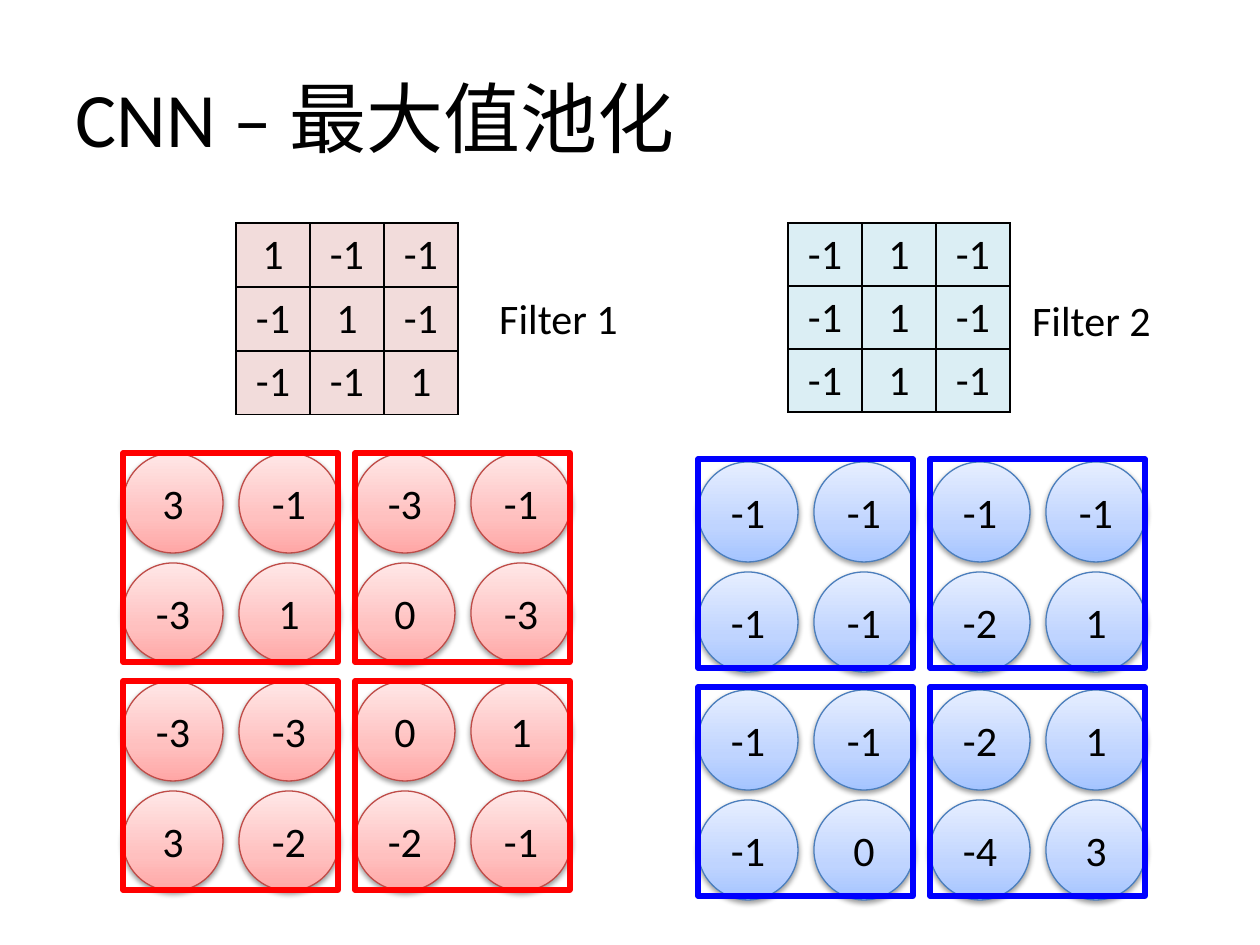
from dataclasses import dataclass

from lxml import etree
from pptx import Presentation
from pptx.dml.color import RGBColor
from pptx.enum.shapes import MSO_SHAPE
from pptx.enum.text import MSO_ANCHOR, MSO_AUTO_SIZE, PP_ALIGN
from pptx.oxml.ns import qn
from pptx.util import Emu, Pt

OVAL, RECTANGLE = MSO_SHAPE.OVAL, MSO_SHAPE.RECTANGLE
LEFT, CENTER, MIDDLE = PP_ALIGN.LEFT, PP_ALIGN.CENTER, MSO_ANCHOR.MIDDLE
GROW = MSO_AUTO_SIZE.SHAPE_TO_FIT_TEXT
TITLE_ONLY = 5
PX = 914400 / 126

CELL_WIDTH, CELL_HEIGHT = 74, 63
CIRCLE, COLUMN_PITCH, ROW_PITCH = 100, 116, 110
POOL_WIDTH, POOL_HEIGHT = 215, 209
POOL_COLUMN_PITCH, POOL_ROW_PITCH = 2 * COLUMN_PITCH, 228


@dataclass(frozen=True)
class Palette:
    cell: str
    gradient: tuple
    outline: str
    frame: str


class Theme:
    font = "Calibri"
    text = "000000"
    grid = "000000"
    shadow = "000000"
    title_size = 44
    body_size = 24
    red = Palette("F2DCDB", ((0, "FFA6A5"), (35, "FFC0BF"), (100, "FFE7E7")), "BF4C48", "FF0000")
    blue = Palette("DBEEF4", ((0, "A4C4FF"), (35, "BFD4FF"), (100, "E6EEFF")), "4B7EBC", "0000FF")


def px(length):
    return Emu(round(length * PX))


def place(left, top, width, height):
    return px(left), px(top), px(width), px(height)


def color(value):
    return RGBColor.from_string(value)


def write(frame, text, size=Theme.body_size, align=CENTER):
    frame.text = text
    para = frame.paragraphs[0]
    para.alignment = align
    font = para.runs[0].font
    font.name, font.size = Theme.font, Pt(size)
    font.color.rgb = color(Theme.text)


def add_color(parent, value):
    return etree.SubElement(parent, qn("a:srgbClr"), val=value)


def set_gradient(shape, stops):
    """Fill upwards, from the first stop at the bottom to the last at the top."""
    shape.fill.gradient()
    shape.fill.gradient_angle = 90
    stop_list = shape._element.spPr.find(qn("a:gradFill")).find(qn("a:gsLst"))
    for stop in list(stop_list):
        stop_list.remove(stop)
    for percent, value in stops:
        add_color(etree.SubElement(stop_list, qn("a:gs"), pos=str(percent * 1000)), value)


def set_shadow(shape):
    shape.shadow.inherit = False
    effects = shape._element.spPr.find(qn("a:effectLst"))
    shadow = etree.SubElement(effects, qn("a:outerShdw"), blurRad="40000", dist="20000",
                              dir="5400000", rotWithShape="0")
    etree.SubElement(add_color(shadow, Theme.shadow), qn("a:alpha"), val="38000")


def set_borders(cell):
    properties = cell._tc.get_or_add_tcPr()
    for position, side in enumerate(("a:lnL", "a:lnR", "a:lnT", "a:lnB")):
        line = etree.Element(qn(side), w=str(Pt(1)))
        add_color(etree.SubElement(line, qn("a:solidFill")), Theme.grid)
        properties.insert(position, line)


def set_title(slide, text):
    title = slide.shapes.title
    title.left, title.top, title.width, title.height = place(63, 38, 1134, 157)
    title.text_frame.vertical_anchor = MIDDLE
    write(title.text_frame, text, Theme.title_size, LEFT)


def add_filter(slide, left, top, values, palette):
    size = len(values)
    table = slide.shapes.add_table(
        size, size, *place(left, top, size * CELL_WIDTH, size * CELL_HEIGHT)).table
    table.first_row = table.horz_banding = False
    for r, row in enumerate(values):
        for c, value in enumerate(row):
            cell = table.cell(r, c)
            write(cell.text_frame, str(value))
            cell.fill.solid()
            cell.fill.fore_color.rgb = color(palette.cell)
            set_borders(cell)


def add_label(slide, left, top, text):
    box = slide.shapes.add_textbox(*place(left, top, 199, 63))
    box.text_frame.word_wrap = True
    box.text_frame.auto_size = GROW
    write(box.text_frame, text)


def add_circle(slide, left, top, value, palette):
    circle = slide.shapes.add_shape(OVAL, *place(left, top, CIRCLE, CIRCLE))
    set_gradient(circle, palette.gradient)
    circle.line.color.rgb = color(palette.outline)
    circle.line.width = Pt(0.75)
    set_shadow(circle)
    circle.text_frame.vertical_anchor = MIDDLE
    write(circle.text_frame, str(value))


def add_pool_frame(slide, left, top, palette):
    frame = slide.shapes.add_shape(RECTANGLE, *place(left, top, POOL_WIDTH, POOL_HEIGHT))
    frame.fill.background()
    frame.line.color.rgb = color(palette.frame)
    frame.line.width = Pt(3)
    frame.shadow.inherit = False


def add_feature_map(slide, left, top, frame_top, values, palette):
    """Draw the circles, then a frame around each two-by-two pool."""
    for r, row in enumerate(values):
        y = top + r // 2 * POOL_ROW_PITCH + r % 2 * ROW_PITCH
        for c, value in enumerate(row):
            add_circle(slide, left + c * COLUMN_PITCH, y, value, palette)
    for r in range(2):
        for c in range(2):
            add_pool_frame(slide, left + c * POOL_COLUMN_PITCH,
                           frame_top + r * POOL_ROW_PITCH, palette)


def main():
    deck = Presentation()
    deck.slide_width, deck.slide_height = px(1260), px(945)
    slide = deck.slides.add_slide(deck.slide_layouts[TITLE_ONLY])
    set_title(slide, "CNN – 最大值池化")

    add_filter(slide, 236, 223, [[1, -1, -1], [-1, 1, -1], [-1, -1, 1]], Theme.red)
    add_label(slide, 459, 286, "Filter 1")
    add_feature_map(slide, 123, 453, 453, [
        [3, -1, -3, -1],
        [-3, 1, 0, -3],
        [-3, -3, 0, 1],
        [3, -2, -2, -1],
    ], Theme.red)

    add_filter(slide, 788, 223, [[-1, 1, -1]] * 3, Theme.blue)
    add_label(slide, 992, 288, "Filter 2")
    add_feature_map(slide, 698, 462, 459, [
        [-1, -1, -1, -1],
        [-1, -1, -2, 1],
        [-1, -1, -2, 1],
        [-1, 0, -4, 3],
    ], Theme.blue)

    deck.save("out.pptx")


if __name__ == "__main__":
    main()
